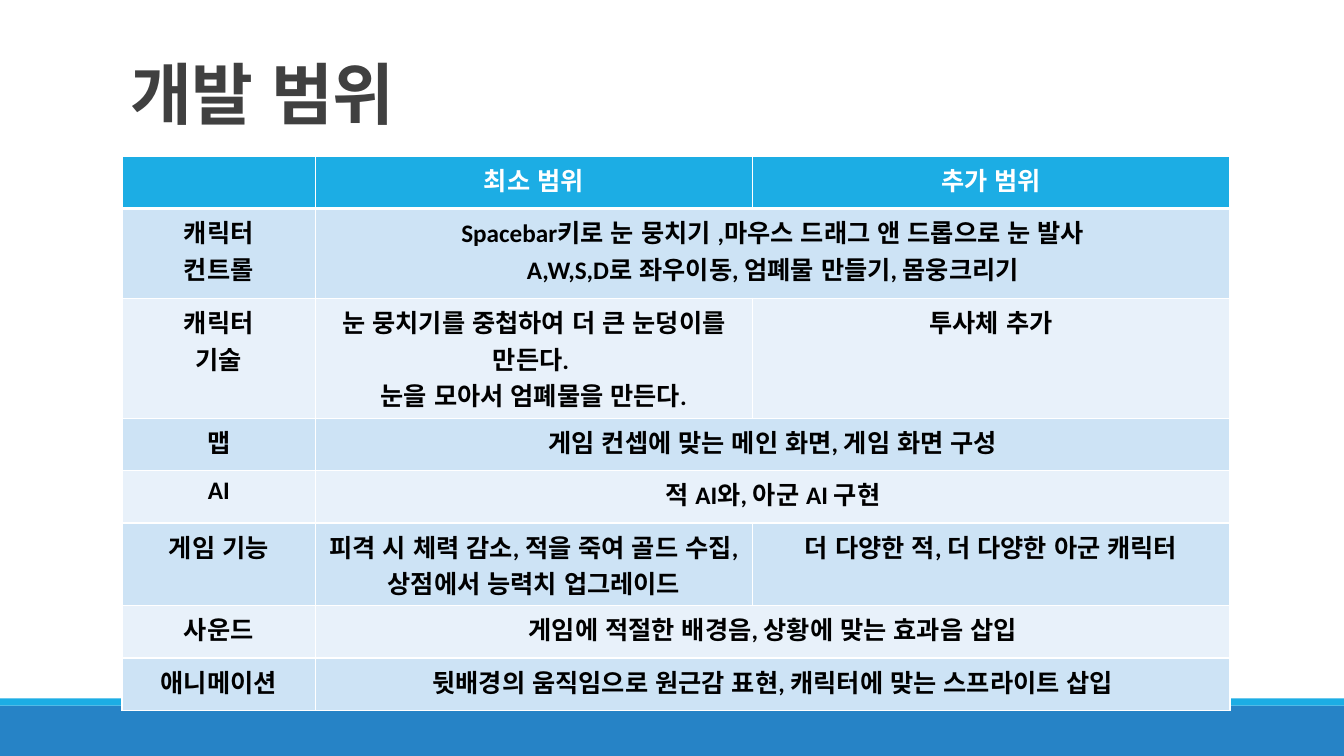
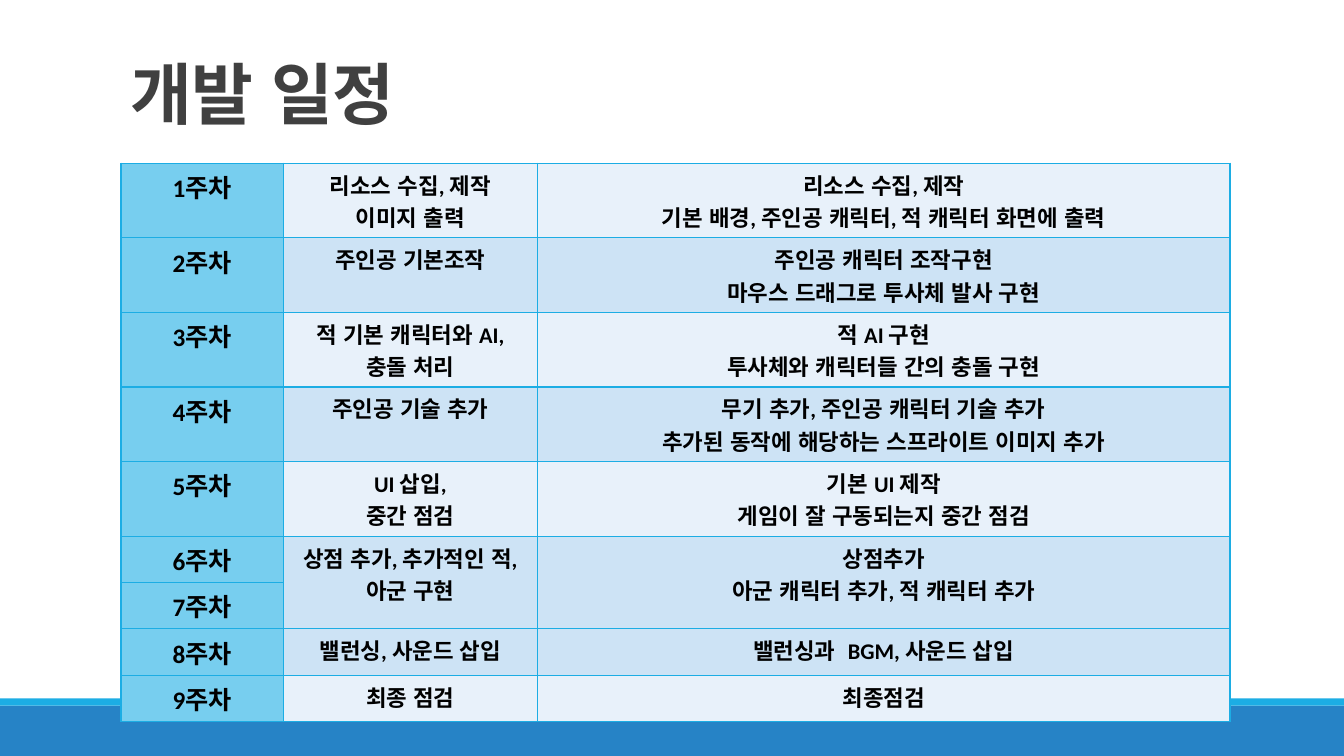
from dataclasses import dataclass
from enum import Enum
from typing import Optional, Union

from lxml.etree import SubElement
from pptx import Presentation
from pptx.dml.color import RGBColor
from pptx.enum.lang import MSO_LANGUAGE_ID
from pptx.enum.shapes import MSO_SHAPE
from pptx.enum.text import MSO_ANCHOR, PP_ALIGN
from pptx.oxml.ns import qn
from pptx.util import Inches, Pt

COLORS = {
    "title": "404040",
    "text": "000000",
    "white": "FFFFFF",
    "accent": "1CADE4",
    "footer": "2683C6",
    "week": "77CEEF",
    "row_dark": "CDE3F5",
    "row_light": "E8F1FA",
}
FONT = "Calibri"
SLIDE_WIDTH, SLIDE_HEIGHT = 13.33, 7.5


class Merge(Enum):
    LEFT = "left"
    UP = "up"


@dataclass(frozen=True)
class Band:
    top: float
    height: float
    color: str


@dataclass(frozen=True)
class Row:
    height: float
    cells: tuple[Union[str, Merge], ...]


@dataclass(frozen=True)
class TableStyle:
    border: str
    body_size: int
    header_row: Optional[str] = None
    first_column: Optional[str] = None


@dataclass(frozen=True)
class TableSlide:
    title: str
    left: float
    top: float
    columns: tuple[float, ...]
    style: TableStyle
    rows: tuple[Row, ...]


BANDS = (Band(7, 0.5, "footer"), Band(6.93, 0.07, "accent"))
LABEL_SIZE = 18

SLIDES = (
    TableSlide(
        "개발 범위", 1.21, 1.55, (1.92, 4.33, 4.74),
        TableStyle(border="white", body_size=18, header_row="accent"),
        (
            Row(0.52, ("", "최소 범위", "추가 범위")),
            Row(0.89, ("캐릭터\n컨트롤",
                       "Spacebar키로 눈 뭉치기 ,마우스 드래그 앤 드롭으로 눈 발사\n"
                       "A,W,S,D로 좌우이동, 엄폐물 만들기, 몸웅크리기", Merge.LEFT)),
            Row(1.19, ("캐릭터\n기술",
                       "눈 뭉치기를 중첩하여 더 큰 눈덩이를 만든다. \n눈을 모아서 엄폐물을 만든다.",
                       "투사체 추가")),
            Row(0.52, ("맵", "게임 컨셉에 맞는 메인 화면, 게임 화면 구성", Merge.LEFT)),
            Row(0.52, ("AI", "적 AI와, 아군 AI 구현", Merge.LEFT)),
            Row(0.82, ("게임 기능",
                       "피격 시 체력 감소, 적을 죽여 골드 수집, 상점에서 능력치 업그레이드",
                       "더 다양한 적, 더 다양한 아군 캐릭터")),
            Row(0.52, ("사운드", "게임에 적절한 배경음, 상황에 맞는 효과음 삽입", Merge.LEFT)),
            Row(0.52, ("애니메이션",
                       "뒷배경의 움직임으로 원근감 표현, 캐릭터에 맞는 스프라이트 삽입", Merge.LEFT)),
        ),
    ),
    TableSlide(
        "개발 일정", 1.2, 1.62, (1.61, 2.52, 6.87),
        TableStyle(border="accent", body_size=16, first_column="week"),
        (
            Row(0.74, ("1주차", "리소스 수집, 제작\n이미지 출력",
                       "리소스 수집, 제작\n기본 배경, 주인공 캐릭터, 적 캐릭터 화면에 출력")),
            Row(0.74, ("2주차", "주인공 기본조작",
                       "주인공 캐릭터 조작구현\n마우스 드래그로 투사체 발사 구현")),
            Row(0.74, ("3주차", "적 기본 캐릭터와 AI, 충돌 처리",
                       "적 AI 구현\n투사체와 캐릭터들 간의 충돌 구현")),
            Row(0.74, ("4주차", "주인공 기술 추가",
                       "무기 추가, 주인공 캐릭터 기술 추가\n"
                       "추가된 동작에 해당하는 스프라이트 이미지 추가")),
            Row(0.74, ("5주차", "UI 삽입,\n중간 점검",
                       "기본 UI 제작\n게임이 잘 구동되는지 중간 점검")),
            Row(0.46, ("6주차", "상점 추가, 추가적인 적, 아군 구현",
                       "상점추가\n아군 캐릭터 추가, 적 캐릭터 추가")),
            Row(0.46, ("7주차", Merge.UP, Merge.UP)),
            Row(0.46, ("8주차", "밸런싱, 사운드 삽입", "밸런싱과  BGM, 사운드 삽입")),
            Row(0.46, ("9주차", "최종 점검", "최종점검")),
        ),
    ),
)


def rgb(name: str) -> RGBColor:
    return RGBColor.from_string(COLORS[name])


def format_text(text_frame, size: int, color: str) -> None:
    for paragraph in text_frame.paragraphs:
        for run in paragraph.runs:
            run.font.name = FONT
            run.font.size = Pt(size)
            run.font.bold = True
            run.font.color.rgb = rgb(color)
            run.font.language_id = MSO_LANGUAGE_ID.KOREAN


def add_band(slide, band: Band) -> None:
    shape = slide.shapes.add_shape(
        MSO_SHAPE.RECTANGLE, 0, Inches(band.top), Inches(SLIDE_WIDTH), Inches(band.height))
    shape.shadow.inherit = False
    shape.fill.solid()
    shape.fill.fore_color.rgb = rgb(band.color)
    shape.line.fill.background()


def add_title(slide, title: str) -> None:
    shape = slide.shapes.add_textbox(Inches(1.2), Inches(0.31), Inches(11), Inches(1.06))
    text_frame = shape.text_frame
    text_frame.word_wrap = True
    text_frame.vertical_anchor = MSO_ANCHOR.BOTTOM
    text_frame.text = title
    paragraph = text_frame.paragraphs[0]
    paragraph.line_spacing = 0.85
    format_text(text_frame, 48, "title")
    paragraph.runs[0].font._element.set("spc", "-50")


def set_borders(cell, color: str, top: int, bottom: int) -> None:
    properties = cell._tc.get_or_add_tcPr()
    for tag, width in (("a:lnL", 1), ("a:lnR", 1), ("a:lnT", top), ("a:lnB", bottom)):
        line = SubElement(properties, qn(tag), w=str(Pt(width)))
        fill = SubElement(line, qn("a:solidFill"))
        SubElement(fill, qn("a:srgbClr"), val=COLORS[color])


def format_cell(cell, row: int, column: int, style: TableStyle) -> None:
    is_header = bool(style.header_row) and row == 0
    # A thick rule separates the header from the body
    set_borders(cell, style.border,
                top=3 if style.header_row and row == 1 else 1,
                bottom=3 if is_header else 1)
    fill = "row_dark" if row % 2 else "row_light"
    if is_header:
        fill = style.header_row
    elif style.first_column and column == 0:
        fill = style.first_column
    cell.fill.solid()
    cell.fill.fore_color.rgb = rgb(fill)
    for paragraph in cell.text_frame.paragraphs:
        paragraph.alignment = PP_ALIGN.CENTER
    format_text(cell.text_frame, LABEL_SIZE if column == 0 else style.body_size,
                "white" if is_header else "text")


def add_schedule_table(slide, content: TableSlide) -> None:
    frame = slide.shapes.add_table(
        len(content.rows), len(content.columns), Inches(content.left), Inches(content.top),
        Inches(sum(content.columns)), Inches(sum(row.height for row in content.rows)))
    table = frame.table
    table.first_row = bool(content.style.header_row)
    for column, width in zip(table.columns, content.columns):
        column.width = Inches(width)
    for row_index, row in enumerate(content.rows):
        table.rows[row_index].height = Inches(row.height)
        for column_index, value in enumerate(row.cells):
            cell = table.cell(row_index, column_index)
            if isinstance(value, str):
                cell.text_frame.text = value
            elif value is Merge.LEFT:
                table.cell(row_index, column_index - 1).merge(cell)
            else:
                table.cell(row_index - 1, column_index).merge(cell)
            format_cell(cell, row_index, column_index, content.style)


def main() -> None:
    presentation = Presentation()
    presentation.slide_width = Inches(SLIDE_WIDTH)
    presentation.slide_height = Inches(SLIDE_HEIGHT)
    for content in SLIDES:
        slide = presentation.slides.add_slide(presentation.slide_layouts[6])
        for band in BANDS:
            add_band(slide, band)
        add_title(slide, content.title)
        add_schedule_table(slide, content)
    presentation.save("out.pptx")


if __name__ == "__main__":
    main()
